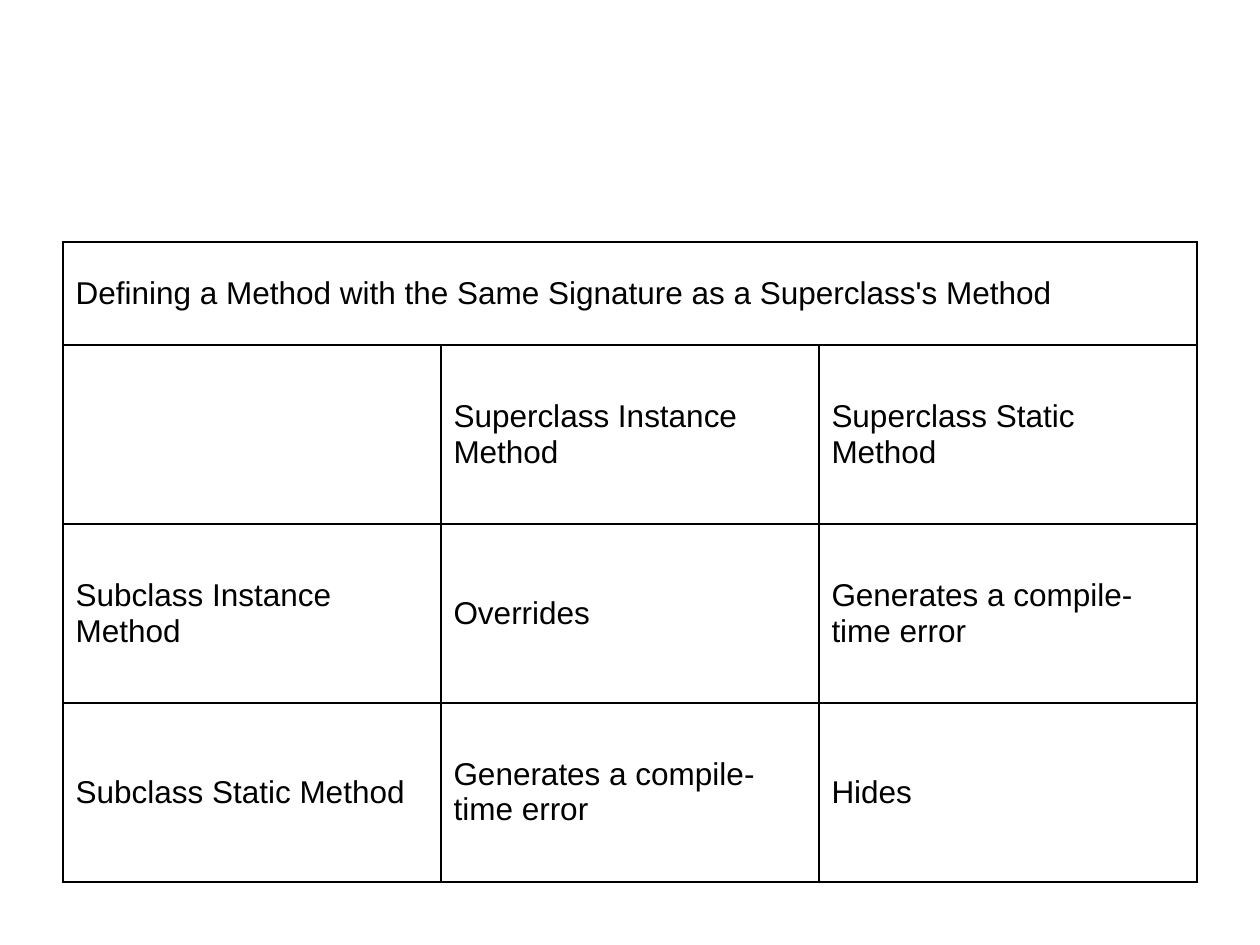
from lxml import etree
from pptx import Presentation
from pptx.dml.color import RGBColor
from pptx.enum.text import MSO_ANCHOR
from pptx.oxml.ns import qn
from pptx.util import Pt

PX = 914400 // 126
BLACK = RGBColor(0, 0, 0)
WHITE = RGBColor(255, 255, 255)
MIDDLE = MSO_ANCHOR.MIDDLE
BORDER_SIDES = ("a:lnL", "a:lnR", "a:lnT", "a:lnB")
BLANK_LAYOUT = 6

HEADING = "Defining a Method with the Same Signature as a Superclass's Method"
COMPILE_ERROR = "Generates a compile-time error"
METHOD_RULES = [
    [HEADING, "", ""],
    ["", "Superclass Instance Method", "Superclass Static Method"],
    ["Subclass Instance Method", "Overrides", COMPILE_ERROR],
    ["Subclass Static Method", COMPILE_ERROR, "Hides"],
]


def add_borders(cell):
    """Draw a one-point black line on each side of a cell."""
    properties = cell._tc.get_or_add_tcPr()
    for side in BORDER_SIDES:
        line = etree.SubElement(properties, qn(side), w=str(Pt(1)))
        fill = etree.SubElement(line, qn("a:solidFill"))
        etree.SubElement(fill, qn("a:srgbClr"), val=str(BLACK))


def format_cell(cell, wording):
    """Give a cell its borders, fill and wording."""
    add_borders(cell)
    cell.fill.solid()
    cell.fill.fore_color.rgb = WHITE
    cell.vertical_anchor = MIDDLE
    paragraph = cell.text_frame.paragraphs[0]
    paragraph.font.size = Pt(18)
    if wording:
        run = paragraph.add_run()
        run.text = wording
        run.font.name = "Arial"
        run.font.size = Pt(18)
        run.font.bold = False
        run.font.color.rgb = BLACK


def add_method_rules(slide, left, top, width, height):
    """Place the table of overriding and hiding rules in the given box."""
    row_count, column_count = len(METHOD_RULES), len(METHOD_RULES[0])
    rules = slide.shapes.add_table(
        row_count, column_count, left * PX, top * PX, width * PX, height * PX
    ).table
    rules.first_row = False
    rules.horz_banding = False
    body_height = height * 28 // 100
    heading_height = height - body_height * (row_count - 1)
    for index, row in enumerate(rules.rows):
        row.height = (body_height if index else heading_height) * PX
    for column in rules.columns:
        column.width = width // column_count * PX
    for row_index, row_wording in enumerate(METHOD_RULES):
        for column_index, wording in enumerate(row_wording):
            format_cell(rules.cell(row_index, column_index), wording)
    rules.cell(0, 0).merge(rules.cell(0, column_count - 1))


def main():
    """Build and save the slide."""
    presentation = Presentation()
    presentation.slide_width = 1260 * PX
    presentation.slide_height = 945 * PX
    slide = presentation.slides.add_slide(presentation.slide_layouts[BLANK_LAYOUT])
    add_method_rules(slide, 63, 242, 1134, 640)
    presentation.save("out.pptx")


main()
